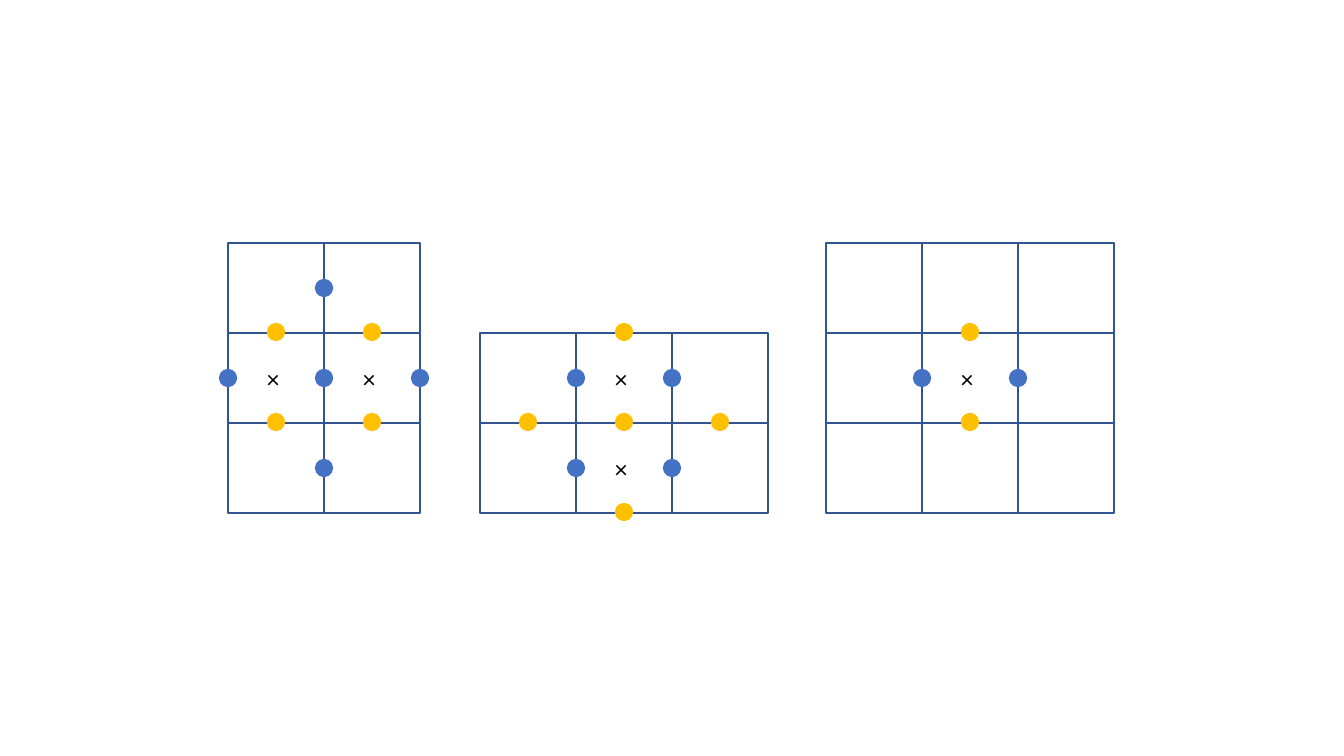
from dataclasses import dataclass
from itertools import product

from pptx import Presentation
from pptx.dml.color import RGBColor
from pptx.enum.shapes import MSO_AUTO_SHAPE_TYPE as ShapeType
from pptx.enum.text import MSO_AUTO_SIZE as AutoSize
from pptx.shapes.autoshape import Shape
from pptx.slide import Slide
from pptx.util import Emu, Inches, Pt

SLIDE_WIDTH, SLIDE_HEIGHT = 1344, 756
EMU_PER_PX = Inches(7.5) / SLIDE_HEIGHT

CELL_WIDTH, CELL_HEIGHT = 96, 90
DOT_SIZE = 14
CROSS_WIDTH, CROSS_HEIGHT = 38, 40
YELLOW_LIFT = 1

Point = tuple[float, float]


@dataclass(frozen=True)
class Theme:
    cell_line: RGBColor = RGBColor(0x32, 0x54, 0x91)
    blue: RGBColor = RGBColor(0x44, 0x72, 0xC4)
    yellow: RGBColor = RGBColor(0xFF, 0xC0, 0x00)
    text: RGBColor = RGBColor(0x00, 0x00, 0x00)
    font: str = "Calibri"
    cross_size: Pt = Pt(18)
    cell_line_width: Pt = Pt(1)
    dot_line_width: Pt = Pt(3)


@dataclass(frozen=True)
class Grid:
    """A block of cells; its marks are (column, row) points in cell units."""

    left: int
    top: int
    columns: int
    rows: int
    crosses: list[Point]
    blue_dots: list[Point]
    yellow_dots: list[Point]

    def locate(self, point: Point) -> tuple[int, int]:
        column, row = point
        return (self.left + round(column * CELL_WIDTH),
                self.top + round(row * CELL_HEIGHT))


THEME = Theme()

GRIDS = [
    Grid(228, 243, 2, 3,
         crosses=[(0.5, 1.5), (1.5, 1.5)],
         blue_dots=[(1, 0.5), (0, 1.5), (1, 1.5), (2, 1.5), (1, 2.5)],
         yellow_dots=[(0.5, 1), (0.5, 2), (1.5, 1), (1.5, 2)]),
    Grid(480, 333, 3, 2,
         crosses=[(1.5, 0.5), (1.5, 1.5)],
         blue_dots=[(1, 0.5), (2, 0.5), (1, 1.5), (2, 1.5)],
         yellow_dots=[(0.5, 1), (1.5, 0), (1.5, 1), (1.5, 2), (2.5, 1)]),
    Grid(826, 243, 3, 3,
         crosses=[(1.5, 1.5)],
         blue_dots=[(1, 1.5), (2, 1.5)],
         yellow_dots=[(1.5, 1), (1.5, 2)]),
]


def px(length: int) -> Emu:
    return Emu(round(length * EMU_PER_PX))


def add_outlined(slide: Slide, kind: ShapeType, left: int, top: int, width: int,
                 height: int, color: RGBColor, line_width: Pt) -> Shape:
    shape = slide.shapes.add_shape(kind, px(left), px(top), px(width), px(height))
    shape.shadow.inherit = False
    shape.fill.background()
    shape.line.color.rgb = color
    shape.line.width = line_width
    return shape


def add_cell(slide: Slide, left: int, top: int) -> None:
    add_outlined(slide, ShapeType.RECTANGLE, left, top, CELL_WIDTH, CELL_HEIGHT,
                 THEME.cell_line, THEME.cell_line_width)


def add_dot(slide: Slide, center_x: int, center_y: int, color: RGBColor) -> None:
    dot = add_outlined(slide, ShapeType.OVAL, center_x - DOT_SIZE // 2,
                       center_y - DOT_SIZE // 2, DOT_SIZE, DOT_SIZE,
                       color, THEME.dot_line_width)
    dot.fill.solid()
    dot.fill.fore_color.rgb = color


def add_cross(slide: Slide, center_x: int, center_y: int) -> None:
    box = slide.shapes.add_textbox(px(center_x - CROSS_WIDTH // 2),
                                   px(center_y - CROSS_HEIGHT // 2),
                                   px(CROSS_WIDTH), px(CROSS_HEIGHT))
    text_frame = box.text_frame
    text_frame.word_wrap = False
    text_frame.auto_size = AutoSize.SHAPE_TO_FIT_TEXT
    text_frame.text = "×"
    font = text_frame.paragraphs[0].runs[0].font
    font.name = THEME.font
    font.size = THEME.cross_size
    font.color.rgb = THEME.text


def add_grid(slide: Slide, grid: Grid) -> None:
    for row, column in product(range(grid.rows), range(grid.columns)):
        add_cell(slide, *grid.locate((column, row)))
    for point in grid.crosses:
        add_cross(slide, *grid.locate(point))
    for point in grid.blue_dots:
        add_dot(slide, *grid.locate(point), THEME.blue)
    for point in grid.yellow_dots:
        x, y = grid.locate(point)
        add_dot(slide, x, y - YELLOW_LIFT, THEME.yellow)


def main() -> None:
    presentation = Presentation()
    presentation.slide_width = px(SLIDE_WIDTH)
    presentation.slide_height = px(SLIDE_HEIGHT)
    slide = presentation.slides.add_slide(presentation.slide_layouts[6])
    for grid in GRIDS:
        add_grid(slide, grid)
    presentation.save("out.pptx")


if __name__ == "__main__":
    main()
